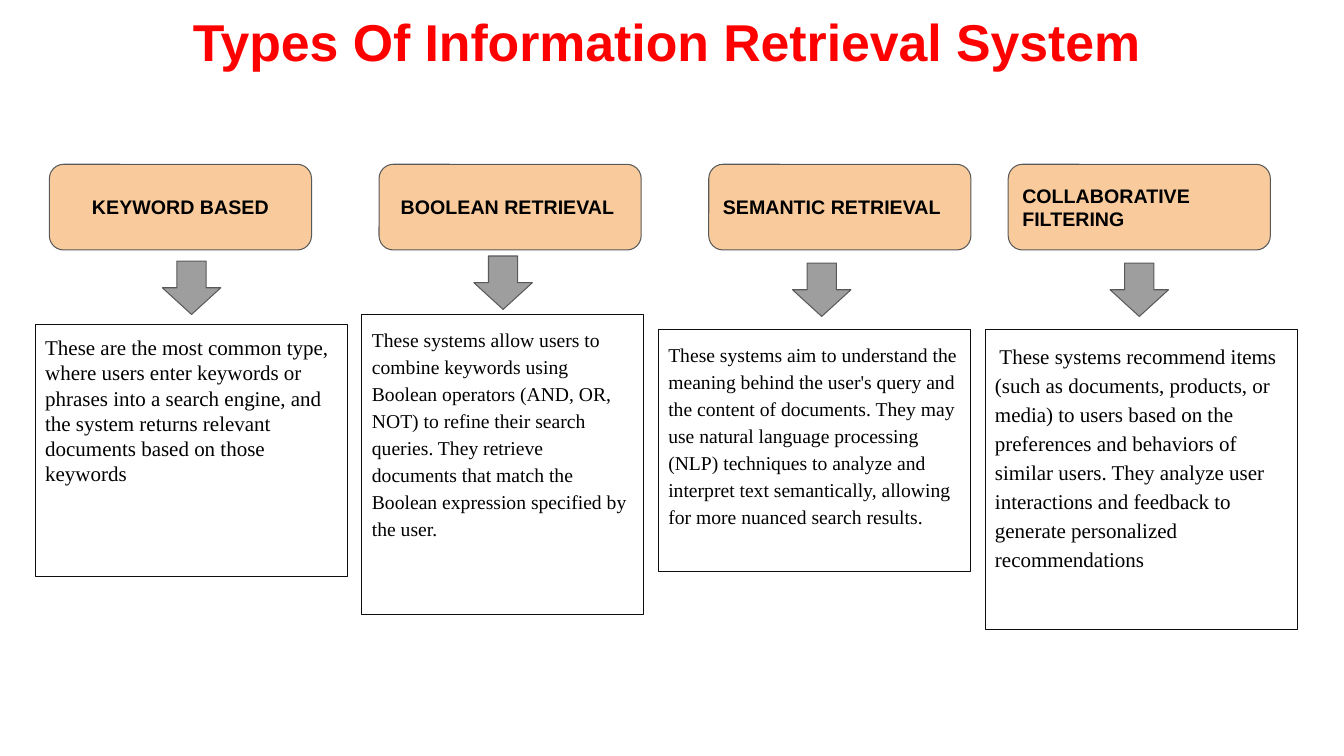
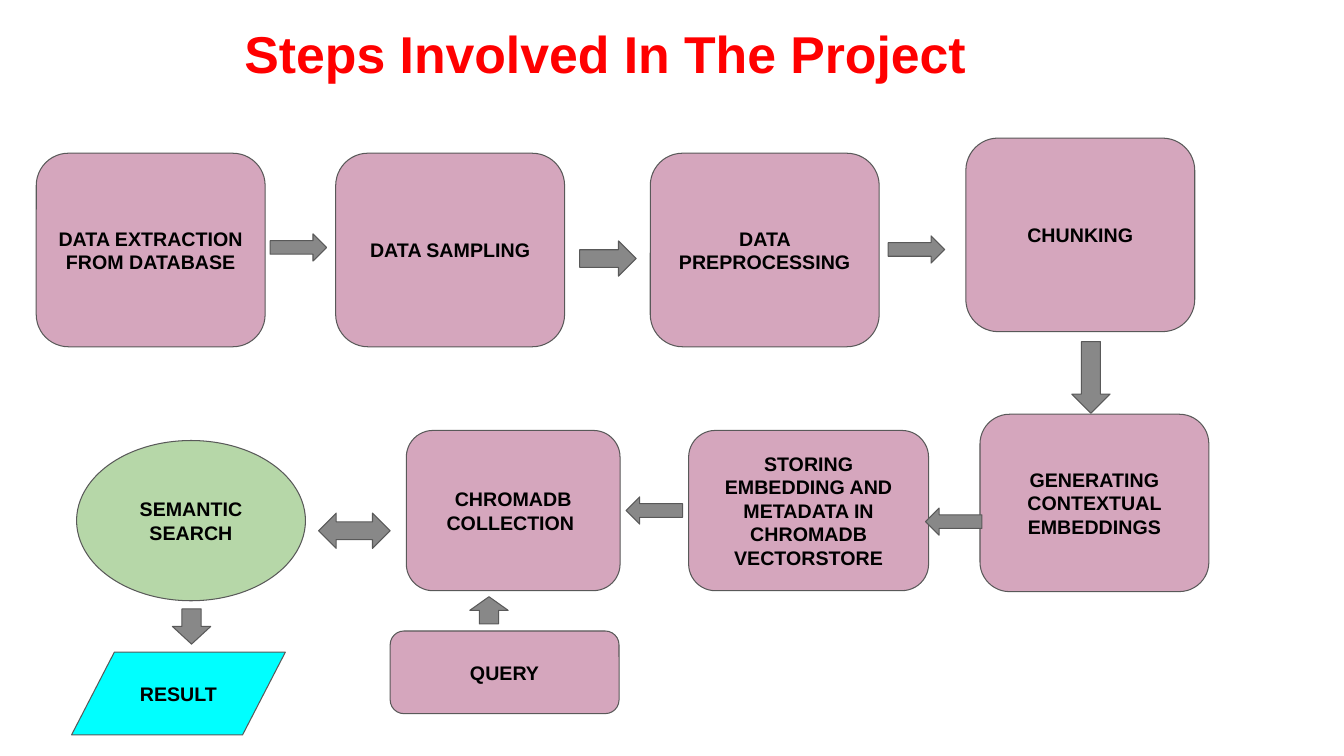
from dataclasses import dataclass

from pptx import Presentation
from pptx.dml.color import RGBColor
from pptx.enum.shapes import MSO_SHAPE
from pptx.enum.text import MSO_ANCHOR, MSO_AUTO_SIZE, PP_ALIGN
from pptx.util import Inches, Pt


@dataclass(frozen=True)
class Theme:
    title: str = "FF0000"
    ink: str = "000000"
    outline: str = "595959"
    card_outline: str = "0D0D0D"
    heading: str = "F9CB9C"
    type_arrow: str = "9E9E9E"
    step: str = "D5A6BD"
    step_arrow: str = "888888"
    search: str = "B6D7A8"
    result: str = "00FFFF"
    sans: str = "Arial"
    serif: str = "Times New Roman"
    title_size: int = 37
    label_size: int = 14


theme = Theme()


def add_text(para, text, size, color=theme.ink, font=theme.sans, bold=True):
    span = para.add_run()
    span.text = text
    span.font.name = font
    span.font.size = Pt(size)
    span.font.bold = bold
    span.font.color.rgb = RGBColor.from_string(color)


def add_box(page, kind, place, fill=None, outline=theme.outline, lines=(), align=PP_ALIGN.CENTER):
    box = page.shapes.add_shape(kind, *map(Inches, place))
    box.shadow.inherit = False
    if fill:
        box.fill.solid()
        box.fill.fore_color.rgb = RGBColor.from_string(fill)
    else:
        box.fill.background()
    box.line.color.rgb = RGBColor.from_string(outline)
    box.line.width = Pt(0.75)
    frame = box.text_frame
    frame.word_wrap = True
    frame.vertical_anchor = MSO_ANCHOR.MIDDLE
    frame.margin_left = frame.margin_right = Inches(0.1)
    frame.margin_top = frame.margin_bottom = Inches(0.1)
    for index, line in enumerate(lines):
        para = frame.add_paragraph() if index else frame.paragraphs[0]
        para.alignment = align
        add_text(para, line, theme.label_size)
    return box


deck = Presentation()
deck.slide_width, deck.slide_height = Inches(13.33), Inches(7.5)

# Pages and their titles
titles = [
    ("Types Of Information Retrieval System", (0, -0.1, 13.23, 1.09)),
    ("Steps Involved In The Project", (0.28, 0.02, 11.45, 1.09)),
]
pages = []
for text, place in titles:
    page = deck.slides.add_slide(deck.slide_layouts[5])
    title = page.shapes.title
    title.left, title.top, title.width, title.height = map(Inches, place)
    frame = title.text_frame
    frame.auto_size = MSO_AUTO_SIZE.NONE
    frame.word_wrap = True
    frame.vertical_anchor = MSO_ANCHOR.MIDDLE
    para = frame.paragraphs[0]
    para.alignment = PP_ALIGN.CENTER
    para.line_spacing = 0.9
    add_text(para, text, theme.title_size, theme.title)
    pages.append(page)
types_page, steps_page = pages

# Retrieval types: heading, arrow and description in each column
# heading, alignment, heading left, arrow corner, card place, line spacing, (text, size) spans
retrieval_types = [
    ("KEYWORD BASED", PP_ALIGN.CENTER, 0.49, (1.61, 2.59), (0.35, 3.22, 3.1, 2.5), 1.0,
     [("These are the most common type, where users enter keywords or phrases into a "
       "search engine, and the system returns relevant documents based on those keywords", 15)]),
    ("BOOLEAN RETRIEVAL ", PP_ALIGN.CENTER, 3.76, (4.7, 2.54), (3.59, 3.12, 2.79, 2.98), 1.15,
     [("These systems allow users to combine keywords using Boolean operators (AND, OR, NOT) "
       "to refine their search queries. They retrieve documents that match the Boolean "
       "expression specified by the user.", 14)]),
    ("SEMANTIC RETRIEVAL", PP_ALIGN.LEFT, 7.03, (7.86, 2.61), (6.53, 3.27, 3.1, 2.4), 1.15,
     [("These systems aim to understand the meaning behind the user's query and the content "
       "of documents. They may use natural language processing (NLP) techniques to analyze "
       "and interpret text semantically, allowing for more nuanced search results.", 14)]),
    ("COLLABORATIVE FILTERING", PP_ALIGN.LEFT, 10, (11.01, 2.61), (9.77, 3.27, 3.1, 2.98), 1.15,
     [(" ", 13),
      ("These systems recommend items (such as documents, products, or media) to users based "
       "on the preferences and behaviors of similar users. They analyze user interactions and "
       "feedback to generate personalized recommendations", 15)]),
]
for heading, align, left, arrow_corner, card_place, spacing, spans in retrieval_types:
    add_box(types_page, MSO_SHAPE.ROUNDED_RECTANGLE, (left, 1.63, 2.6, 0.85),
            theme.heading, lines=[heading], align=align)
    add_box(types_page, MSO_SHAPE.DOWN_ARROW, (*arrow_corner, 0.58, 0.53), theme.type_arrow)
    card = add_box(types_page, MSO_SHAPE.RECTANGLE, card_place, outline=theme.card_outline)
    card.text_frame.vertical_anchor = MSO_ANCHOR.TOP
    para = card.text_frame.paragraphs[0]
    para.alignment = PP_ALIGN.LEFT
    para.line_spacing = spacing
    for text, size in spans:
        add_text(para, text, size, font=theme.serif, bold=False)

# Project steps
steps = [
    ((0.36, 1.52, 2.27, 1.92), ["DATA EXTRACTION FROM DATABASE"]),
    ((3.33, 1.52, 2.27, 1.92), ["DATA SAMPLING"]),
    ((6.45, 1.52, 2.27, 1.92), ["DATA PREPROCESSING"]),
    ((9.58, 1.37, 2.27, 1.92), ["CHUNKING"]),
    ((9.72, 4.11, 2.27, 1.76), ["GENERATING", "CONTEXTUAL EMBEDDINGS"]),
    ((6.83, 4.27, 2.38, 1.59), ["STORING EMBEDDING AND METADATA IN CHROMADB VECTORSTORE"]),
    ((4.03, 4.27, 2.12, 1.59), ["CHROMADB COLLECTION "]),
    ((3.87, 6.26, 2.27, 0.82), ["QUERY"]),
]
for place, lines in steps:
    add_box(steps_page, MSO_SHAPE.ROUNDED_RECTANGLE, place, theme.step, lines=lines)

# Search and its result
add_box(steps_page, MSO_SHAPE.OVAL, (0.76, 4.37, 2.27, 1.59), theme.search,
        lines=["SEMANTIC SEARCH"])
add_box(steps_page, MSO_SHAPE.FLOWCHART_DATA, (0.71, 6.47, 2.12, 0.82), theme.result,
        lines=["RESULT"])

# Block arrows between the steps
step_arrows = [
    (MSO_SHAPE.RIGHT_ARROW, (2.68, 2.32, 0.56, 0.27)),
    (MSO_SHAPE.RIGHT_ARROW, (5.75, 2.39, 0.56, 0.35)),
    (MSO_SHAPE.RIGHT_ARROW, (8.81, 2.34, 0.56, 0.27)),
    (MSO_SHAPE.DOWN_ARROW, (10.63, 3.39, 0.38, 0.71)),
    (MSO_SHAPE.LEFT_ARROW, (9.18, 5.04, 0.56, 0.27)),
    (MSO_SHAPE.LEFT_ARROW, (6.21, 4.93, 0.56, 0.27)),
    (MSO_SHAPE.LEFT_RIGHT_ARROW, (3.16, 5.09, 0.71, 0.35)),
    (MSO_SHAPE.UP_ARROW, (4.66, 5.92, 0.38, 0.27)),
    (MSO_SHAPE.DOWN_ARROW, (1.71, 6.04, 0.38, 0.35)),
]
for kind, place in step_arrows:
    add_box(steps_page, kind, place, theme.step_arrow)

deck.save("out.pptx")
